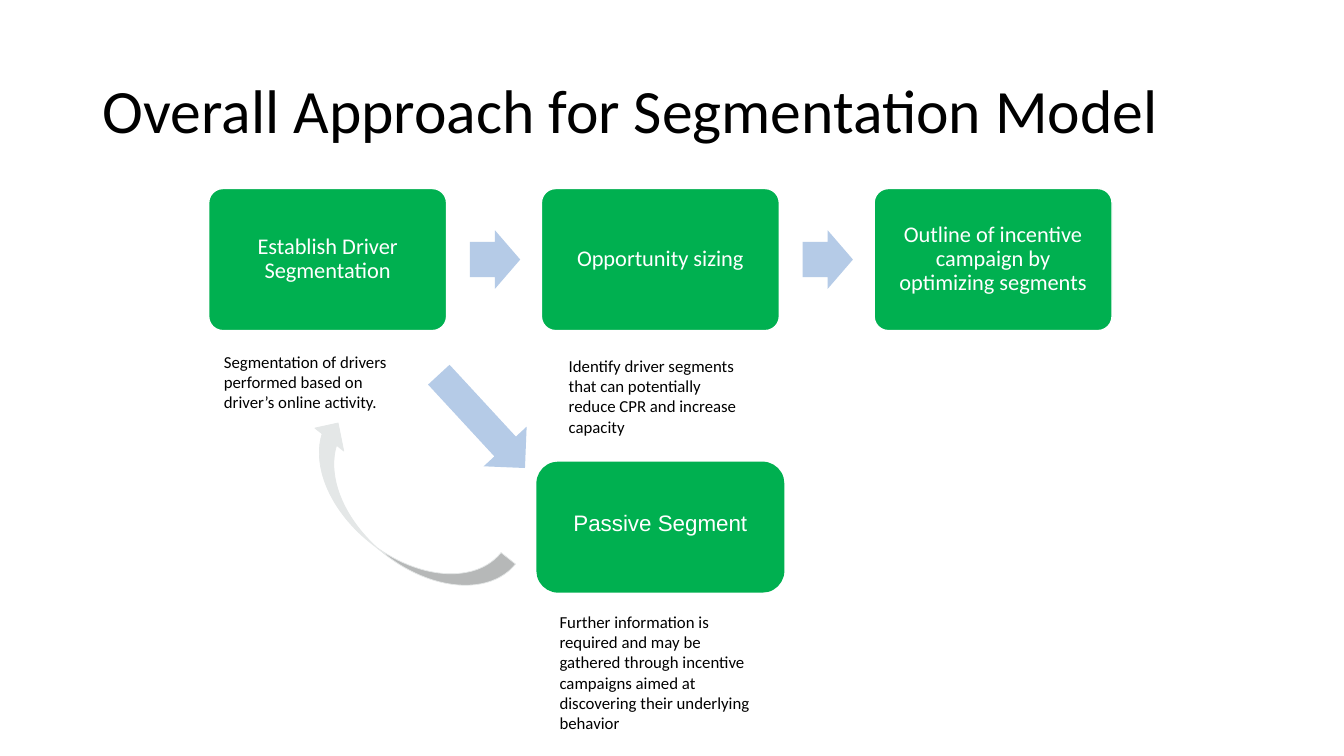
import pptx
import pptx.util
import pptx.dml.color
import pptx.enum.shapes
import pptx.enum.text
import pptx.oxml.ns
from dataclasses import dataclass

Inches = pptx.util.Inches
Shape = pptx.enum.shapes.MSO_SHAPE
Align = pptx.enum.text.PP_ALIGN
Anchor = pptx.enum.text.MSO_ANCHOR


@dataclass(frozen=True)
class Theme:
    font: str = "Calibri"
    alt: str = "Arial"
    green: str = "00B050"
    blue: str = "B5CBE7"
    gray: str = "E4E7E7"
    white: str = "FFFFFF"
    black: str = "000000"
    head: int = 44
    label: int = 16
    note: int = 12


theme = Theme()

TITLE = "Overall Approach for Segmentation Model"
STEPS = [
    "Establish Driver Segmentation",
    "Opportunity sizing",
    "Outline of incentive campaign by optimizing segments",
]
BRANCH = "Passive Segment"
NOTES = [
    ("Segmentation of drivers performed based on driver’s online activity.",
     (2.18, 3.45, 1.89, 0.69)),
    ("Identify driver segments that can potentially reduce CPR and increase capacity",
     (5.6, 3.49, 1.89, 0.89)),
    ("Further information is required and may be gathered through incentive "
     "campaigns aimed at discovering their underlying behavior",
     (5.51, 6.03, 2.07, 1.29)),
]

LEFT, TOP, WIDE, HIGH, PITCH = 2.07, 1.87, 2.36, 1.41, 3.3
ARROW_W, ARROW_H, ARROW_X = 0.5, 0.58, 2.59


def color(code):
    return pptx.dml.color.RGBColor.from_string(code)


def place(box):
    return [Inches(n) for n in box]


def write(frame, text, size, ink, pad, font=theme.font, align=Align.LEFT,
          anchor=Anchor.TOP, lead=1.0):
    frame.text = text
    frame.word_wrap = True
    frame.vertical_anchor = anchor
    (frame.margin_left, frame.margin_top,
     frame.margin_right, frame.margin_bottom) = place(pad)
    para = frame.paragraphs[0]
    para.alignment = align
    para.line_spacing = lead
    for run in para.runs:
        run.font.name = font
        run.font.size = pptx.util.Pt(size)
        run.font.color.rgb = color(ink)


def draw(kind, box, fill, line=None, width=1, turn=0, adjust=()):
    shape = slide.shapes.add_shape(kind, *place(box))
    shape.shadow.inherit = False
    shape.fill.solid()
    shape.fill.fore_color.rgb = color(fill)
    if line:
        shape.line.color.rgb = color(line)
        shape.line.width = pptx.util.Pt(width)
    else:
        shape.line.fill.background()
    shape.rotation = turn
    for i, value in enumerate(adjust):
        shape.adjustments[i] = value
    return shape


deck = pptx.Presentation()
deck.slide_width, deck.slide_height = place((13.33, 7.5))
slide = deck.slides.add_slide(deck.slide_layouts[5])

title = slide.shapes.title
title.left, title.top, title.width, title.height = place((0.92, 0.4, 11.5, 1.45))
write(title.text_frame, TITLE, theme.head, theme.black, (0.1, 0.05, 0.1, 0.05),
      anchor=Anchor.MIDDLE, lead=0.9)

for i, step in enumerate(STEPS):
    x = LEFT + i * PITCH
    card = draw(Shape.ROUNDED_RECTANGLE, (x, TOP, WIDE, HIGH), theme.green,
                theme.white, adjust=[0.1])
    write(card.text_frame, step, theme.label, theme.white, (0.08, 0.11, 0.08, 0.11),
          align=Align.CENTER, anchor=Anchor.MIDDLE, lead=0.9)
    if i < len(STEPS) - 1:
        y = TOP + (HIGH - ARROW_H) / 2
        draw(Shape.RIGHT_ARROW, (x + ARROW_X, y, ARROW_W, ARROW_H), theme.blue,
             adjust=[0.6, 0.5])

draw(Shape.DOWN_ARROW, (4.49, 3.55, 0.58, 1.26), theme.blue, turn=317.3)
card = draw(Shape.ROUNDED_RECTANGLE, (5.32, 4.58, 2.46, 1.3), theme.green)
write(card.text_frame, BRANCH, theme.label, theme.white, (0.08, 0.08, 0.08, 0.18),
      font=theme.alt, align=Align.CENTER, anchor=Anchor.MIDDLE)

for text, box in NOTES:
    note = slide.shapes.add_textbox(*place(box))
    write(note.text_frame, text, theme.note, theme.black, (0.04,) * 4)

loop = draw(Shape.CURVED_RIGHT_ARROW, (3.57, 3.91, 0.73, 2.43), theme.gray,
            theme.gray, 0.5, 128.5)
loop.element.spPr.find(pptx.oxml.ns.qn("a:xfrm")).set("flipH", "1")

deck.save("out.pptx")
